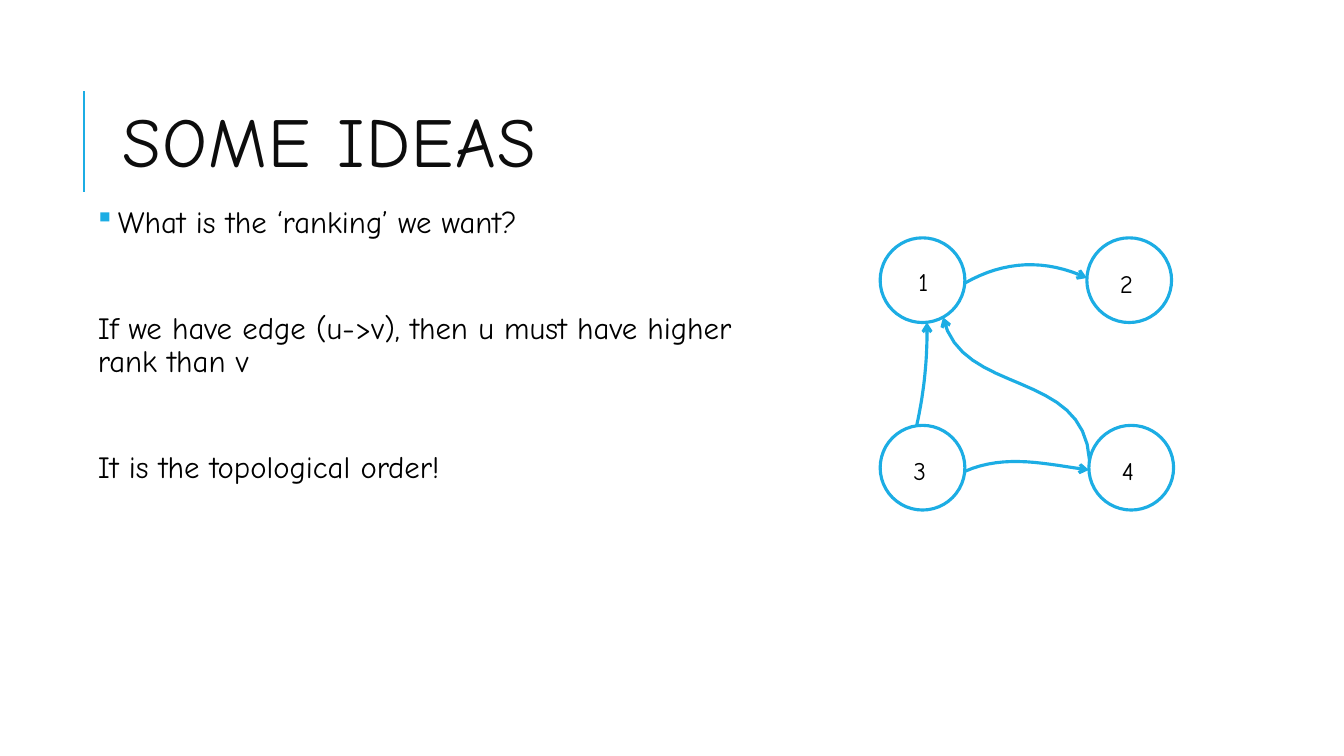
"""Build the "Some ideas" slide: ranking notes beside a directed graph of four nodes."""
from math import cos, hypot, radians, sin
from lxml.etree import SubElement
from pptx import Presentation
from pptx.dml.color import RGBColor
from pptx.enum.shapes import MSO_CONNECTOR, MSO_SHAPE
from pptx.enum.text import MSO_ANCHOR
from pptx.oxml.ns import qn
from pptx.util import Inches, Pt

C = {"accent": "1CADE4", "title": "0D0D0D", "text": "000000", "paper": "FFFFFF"}
RGB = {name: RGBColor.from_string(v) for name, v in C.items()}

prs = Presentation()
prs.slide_width, prs.slide_height = Inches(13.33), Inches(7.5)
UNIT = prs.slide_height / 90
s = prs.slides.add_slide(prs.slide_layouts[6])


def grid(*units):
    return [round(u * UNIT) for u in units]


def add_text(box, *lines, size=18, color="text", inset=0.1, anchor=MSO_ANCHOR.TOP,
             spacing=1.0, before=0, after=0, gap=0):
    tf = s.shapes.add_textbox(*grid(*box)).text_frame
    tf.word_wrap = True
    tf.vertical_anchor = anchor
    tf.margin_left = tf.margin_right = Inches(inset)
    for i, line in enumerate(lines):
        p = tf.paragraphs[0] if i == 0 else tf.add_paragraph()
        p.line_spacing = spacing
        p.space_before, p.space_after = Pt(before + gap * (i > 0)), Pt(after)
        r = p.add_run()
        r.text = line
        r.font.name, r.font.size = "Comic Neue", Pt(size)
        r.font.color.rgb = RGB[color]
    return tf


rule = s.shapes.add_connector(MSO_CONNECTOR.STRAIGHT, *grid(10, 22.8, 10, 10.8))
rule.line.color.rgb, rule.line.width = RGB["accent"], Pt(1.5)
SubElement(rule._element.spPr, qn("a:effectLst"))

title = add_text((13.44, 7.68, 127.56, 19.68), "SOME IDEAS", size=50, color="title",
                 anchor=MSO_ANCHOR.MIDDLE, spacing=0.8)
title.paragraphs[0].runs[0].font._element.set("spc", "100")

notes = add_text((11.04, 24, 82.8, 57.12),
                 "What is the ‘ranking’ we want?",
                 "If we have edge (u->v), then u must have higher rank than v",
                 "It is the topological order!",
                 size=22, inset=0.05, spacing=0.9, before=12, after=2, gap=38)
pPr = notes.paragraphs[0]._p.get_or_add_pPr()
pPr.set("marL", str(Inches(0.2)))
pPr.set("indent", str(-Inches(0.2)))
SubElement(SubElement(pPr, qn("a:buClr")), qn("a:srgbClr")).set("val", C["accent"])
SubElement(pPr, qn("a:buFont")).set("typeface", "Wingdings")
SubElement(pPr, qn("a:buChar")).set("char", "§")

RADIUS = 5.04
LEFT, RIGHT, TOP, BOTTOM = 109.8, 134.4, 33.36, 55.68
centers = {1: (LEFT, TOP), 2: (RIGHT, TOP), 3: (LEFT, BOTTOM), 4: (RIGHT + 0.24, BOTTOM)}
label_shift = {1: (-1.68, -2.28)}
for node, (x, y) in centers.items():
    sp = s.shapes.add_shape(MSO_SHAPE.OVAL,
                            *grid(x - RADIUS, y - RADIUS, 2 * RADIUS, 2 * RADIUS))
    sp.shadow.inherit = False
    sp.fill.solid()
    sp.fill.fore_color.rgb = RGB["paper"]
    sp.line.color.rgb, sp.line.width = RGB["accent"], Pt(2.25)
    dx, dy = label_shift.get(node, (-2.28, -2.04))
    add_text((x + dx, y + dy, 6.48, 4.92), str(node))

STEPS = 16
edges = [
    {"nodes": (1, 2), "angles": (4, 183), "bends": (2.5, 2.5)},
    {"nodes": (3, 4), "angles": (5, 177), "bends": (2.1, 0.7)},
    {"nodes": (4, 1), "angles": (190, 61), "bends": (-7.4, 5.3)},
    {"nodes": (3, 1), "angles": (-98, 84), "bends": (-0.5, -0.5)},
]
for edge in edges:
    (x0, y0), (x1, y1) = [
        (centers[n][0] + RADIUS * cos(radians(a)), centers[n][1] + RADIUS * sin(radians(a)))
        for n, a in zip(edge["nodes"], edge["angles"])]
    dx, dy = x1 - x0, y1 - y0
    length = hypot(dx, dy)
    first_bend, second_bend = edge["bends"]
    points = []
    for step in range(STEPS + 1):
        t = step / STEPS
        side = 3 * t * (1 - t) * ((1 - t) * first_bend + t * second_bend) / length
        points.append(grid(x0 + t * dx + side * dy, y0 + t * dy - side * dx))
    fb = s.shapes.build_freeform(*points[0])
    fb.add_line_segments(points[1:], close=False)
    sp = fb.convert_to_shape()
    sp.shadow.inherit = False
    sp.fill.background()
    sp.line.color.rgb, sp.line.width = RGB["accent"], Pt(2.25)
    SubElement(sp.line._get_or_add_ln(), qn("a:tailEnd")).set("type", "arrow")

prs.save("out.pptx")
